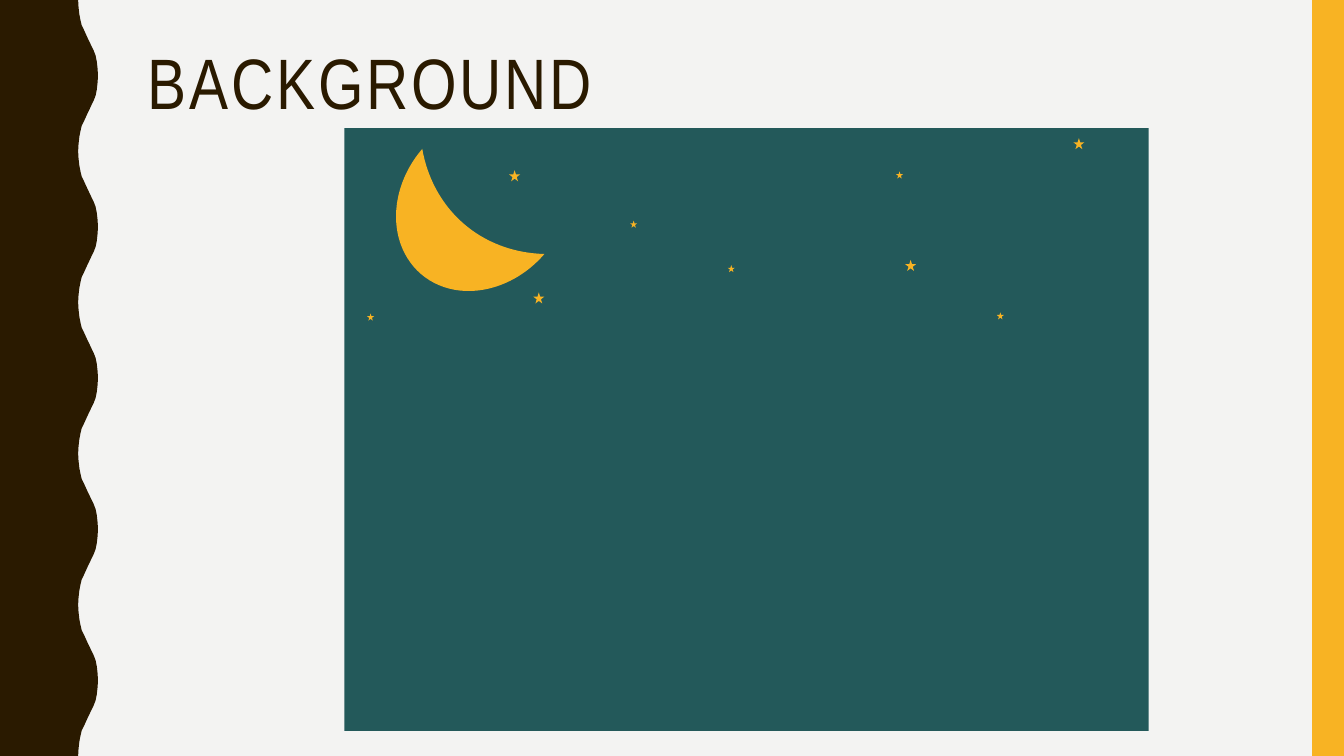
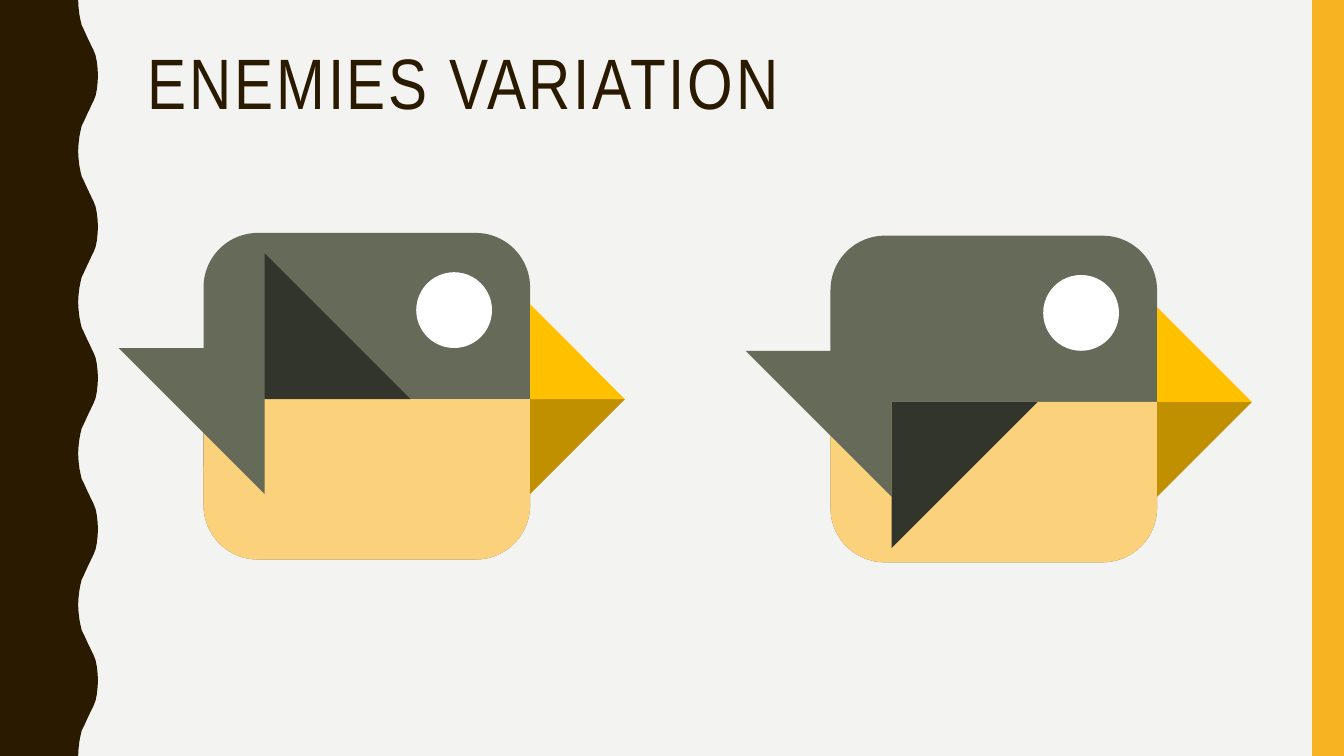
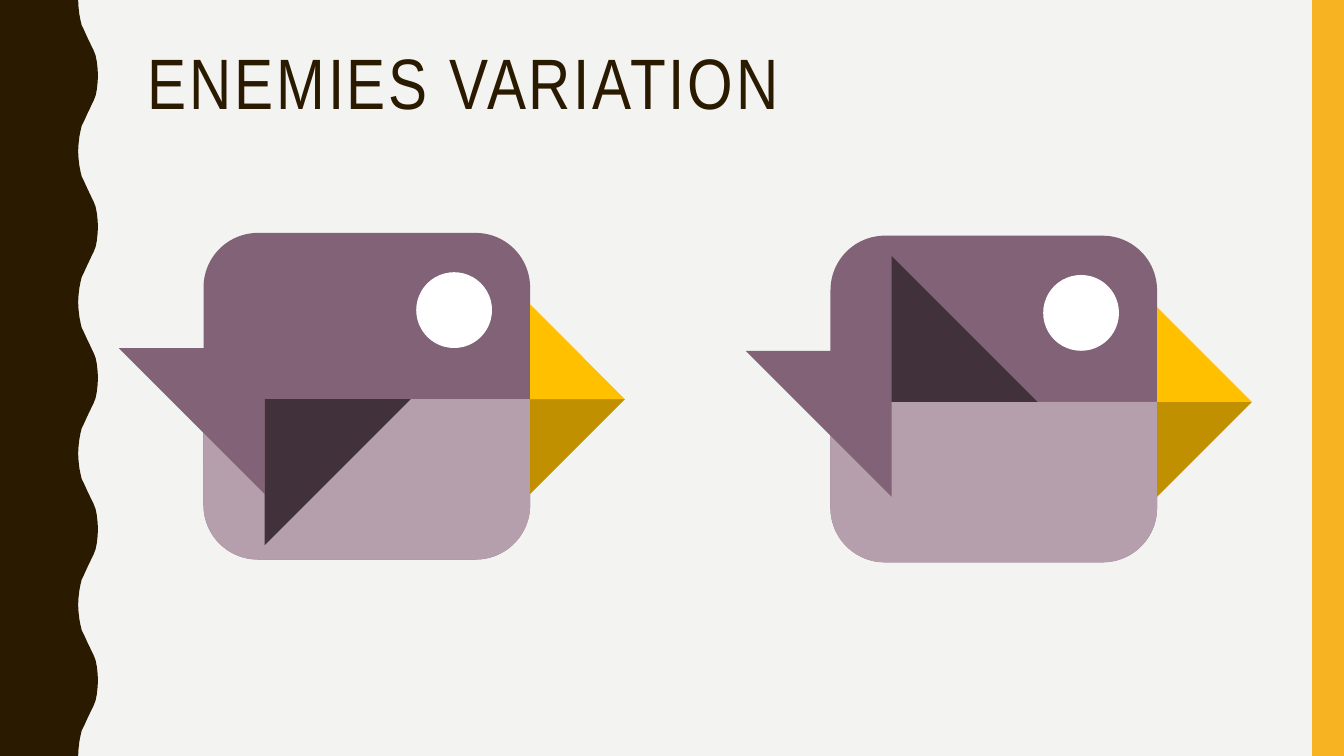
from dataclasses import dataclass

from pptx import Presentation
from pptx.dml.color import RGBColor
from pptx.enum.shapes import MSO_SHAPE
from pptx.enum.text import MSO_ANCHOR
from pptx.presentation import Presentation as Deck
from pptx.shapes.autoshape import Shape
from pptx.shapes.shapetree import GroupShapes
from pptx.slide import Slide
from pptx.util import Cm, Pt

COLORS = {
    "paper": "F3F3F2",
    "brown": "2A1A00",
    "gold": "F8B323",
    "night": "23595A",
    "white": "FFFFFF",
    "beak_light": "FFC000",
    "beak_dark": "C09000",
    "olive": "656A59",
    "olive_dark": "32352C",
    "sand": "FBD17B",
    "plum": "826276",
    "plum_dark": "41313B",
    "mauve": "B69FAD",
}
TITLE_FONT = "Arial Narrow"

# Lengths below are in centimetres.
SLIDE_WIDTH, SLIDE_HEIGHT = 33.87, 19.05
BAND_WIDTH = 0.8
WAVE_COUNT = 5
WAVE_PERIOD = SLIDE_HEIGHT / WAVE_COUNT
# Trough to crest; the way back to the trough mirrors it.
HALF_WAVE = [
    (1.97, 0), (1.98, 0.18), (2, 0.36), (2.03, 0.51), (2.06, 0.64),
    (2.11, 0.74), (2.16, 0.85), (2.21, 0.96), (2.26, 1.06), (2.31, 1.17),
    (2.36, 1.27), (2.41, 1.4), (2.44, 1.55), (2.46, 1.73), (2.47, 1.9),
]

BODY = 8.23
BODY_RADIUS = BODY / 6
BELLY_TOP = 4.19
WING, WING_LEFT = 3.68, 1.54
BEAK = 2.39
EYE = 1.91


@dataclass(frozen=True)
class Plumage:
    body: str
    belly: str
    wing: str


@dataclass(frozen=True)
class Bird:
    left: float
    top: float
    wing_up: bool


@dataclass(frozen=True)
class Star:
    left: float
    top: float
    size: float


OLIVE_BIRD = Plumage("olive", "sand", "olive_dark")
PLUM_BIRD = Plumage("plum", "mauve", "plum_dark")

SMALL_STAR, BIG_STAR = 0.18, 0.28
STARS = [
    Star(12.83, 4.29, BIG_STAR),
    Star(15.88, 5.56, SMALL_STAR),
    Star(18.34, 6.68, SMALL_STAR),
    Star(22.58, 4.32, SMALL_STAR),
    Star(25.12, 7.87, SMALL_STAR),
    Star(13.44, 7.37, BIG_STAR),
    Star(9.25, 7.9, SMALL_STAR),
    Star(22.81, 6.55, BIG_STAR),
    Star(27.05, 3.48, BIG_STAR),
]


def rgb(color: str) -> RGBColor:
    return RGBColor.from_string(COLORS[color])


def paint(shape: Shape, color: str) -> None:
    """Give a shape a flat fill without outline or shadow."""
    shape.fill.solid()
    shape.fill.fore_color.rgb = rgb(color)
    shape.line.fill.background()
    shape.shadow.inherit = False


def add_figure(shapes: GroupShapes, preset: MSO_SHAPE, left: float, top: float,
               width: float, height: float, color: str, rotation: float = 0,
               adjustments: tuple[float, ...] = ()) -> None:
    figure = shapes.add_shape(preset, Cm(left), Cm(top), Cm(width), Cm(height))
    for index, value in enumerate(adjustments):
        figure.adjustments[index] = value
    figure.rotation = rotation
    paint(figure, color)


def add_corner(shapes: GroupShapes, left: float, top: float, size: float,
               color: str, rotation: float = 0) -> None:
    """Draw a right triangle whose right angle is at the bottom left before rotation."""
    add_figure(shapes, MSO_SHAPE.ISOSCELES_TRIANGLE, left, top, size, size,
               color, rotation, (0,))


def add_wavy_edge(slide: Slide) -> None:
    wave = HALF_WAVE + [(x, WAVE_PERIOD - y) for x, y in reversed(HALF_WAVE)]
    edge = [(x, y + i * WAVE_PERIOD) for i in range(WAVE_COUNT) for x, y in wave]
    outline = slide.shapes.build_freeform(0, 0)
    outline.add_line_segments(
        [(Cm(x), Cm(y)) for x, y in edge + [(0, SLIDE_HEIGHT)]], close=True)
    paint(outline.convert_to_shape(), "brown")


def add_title(slide: Slide, title: str) -> None:
    frame = slide.shapes.add_textbox(Cm(3.48), Cm(1.07), Cm(28.27), Cm(4.14)).text_frame
    frame.word_wrap = True
    frame.vertical_anchor = MSO_ANCHOR.TOP
    paragraph = frame.paragraphs[0]
    paragraph.line_spacing = 0.9
    paragraph.font.name = TITLE_FONT
    paragraph.font.size = Pt(51)
    paragraph.font.color.rgb = rgb("brown")
    run = paragraph.add_run()
    run.text = title
    run._r.get_or_add_rPr().set("spc", "200")


def add_titled_slide(deck: Deck, title: str) -> Slide:
    slide = deck.slides.add_slide(deck.slide_layouts[6])
    add_wavy_edge(slide)
    add_figure(slide.shapes, MSO_SHAPE.RECTANGLE, SLIDE_WIDTH - BAND_WIDTH, 0,
               BAND_WIDTH, SLIDE_HEIGHT, "gold")
    add_title(slide, title)
    return slide


def add_night_sky(slide: Slide) -> None:
    sky = slide.shapes.add_group_shape().shapes
    add_figure(sky, MSO_SHAPE.RECTANGLE, 8.68, 3.23, 20.27, 15.19, "night")
    add_figure(sky, MSO_SHAPE.MOON, 10.19, 3.96, 2.41, 4.06, "gold", 310.7, (0.69,))
    for star in STARS:
        add_figure(sky, MSO_SHAPE.STAR_5_POINT, star.left, star.top,
                   star.size, star.size, "gold")


def add_bird(slide: Slide, bird: Bird, plumage: Plumage) -> None:
    parts = slide.shapes.add_group_shape().shapes
    left, top = bird.left, bird.top
    belly_top = top + BELLY_TOP
    belly_height = BODY - BELLY_TOP
    wing_left = left + WING_LEFT
    beak_left = left + BODY

    add_figure(parts, MSO_SHAPE.ROUNDED_RECTANGLE, left, top, BODY, BODY,
               plumage.body, adjustments=(BODY_RADIUS / BODY,))
    add_figure(parts, MSO_SHAPE.ROUND_2_SAME_RECTANGLE, left, belly_top, BODY,
               belly_height, plumage.belly,
               adjustments=(0, BODY_RADIUS / belly_height))
    add_corner(parts, wing_left - WING, top + 2.9, WING, plumage.body, 180)
    add_figure(parts, MSO_SHAPE.OVAL, left + 5.36, top + 0.99, EYE, EYE, "white")
    if bird.wing_up:
        add_corner(parts, wing_left, belly_top - WING, WING, plumage.wing)
    else:
        add_corner(parts, wing_left, belly_top, WING, plumage.wing, 90)
    add_corner(parts, beak_left, belly_top, BEAK, "beak_dark", 90)
    add_corner(parts, beak_left, belly_top - BEAK, BEAK, "beak_light")


def add_enemies_slide(deck: Deck, plumage: Plumage, first_wing_up: bool) -> None:
    slide = add_titled_slide(deck, "ENEMIES VARIATION")
    add_bird(slide, Bird(5.13, 5.87, first_wing_up), plumage)
    add_bird(slide, Bird(20.93, 5.94, not first_wing_up), plumage)


def main() -> None:
    deck = Presentation()
    deck.slide_width, deck.slide_height = Cm(SLIDE_WIDTH), Cm(SLIDE_HEIGHT)
    backdrop = deck.slide_master.background.fill
    backdrop.solid()
    backdrop.fore_color.rgb = rgb("paper")

    add_night_sky(add_titled_slide(deck, "BACKGROUND"))
    add_enemies_slide(deck, OLIVE_BIRD, first_wing_up=True)
    add_enemies_slide(deck, PLUM_BIRD, first_wing_up=False)
    deck.save("out.pptx")


if __name__ == "__main__":
    main()
